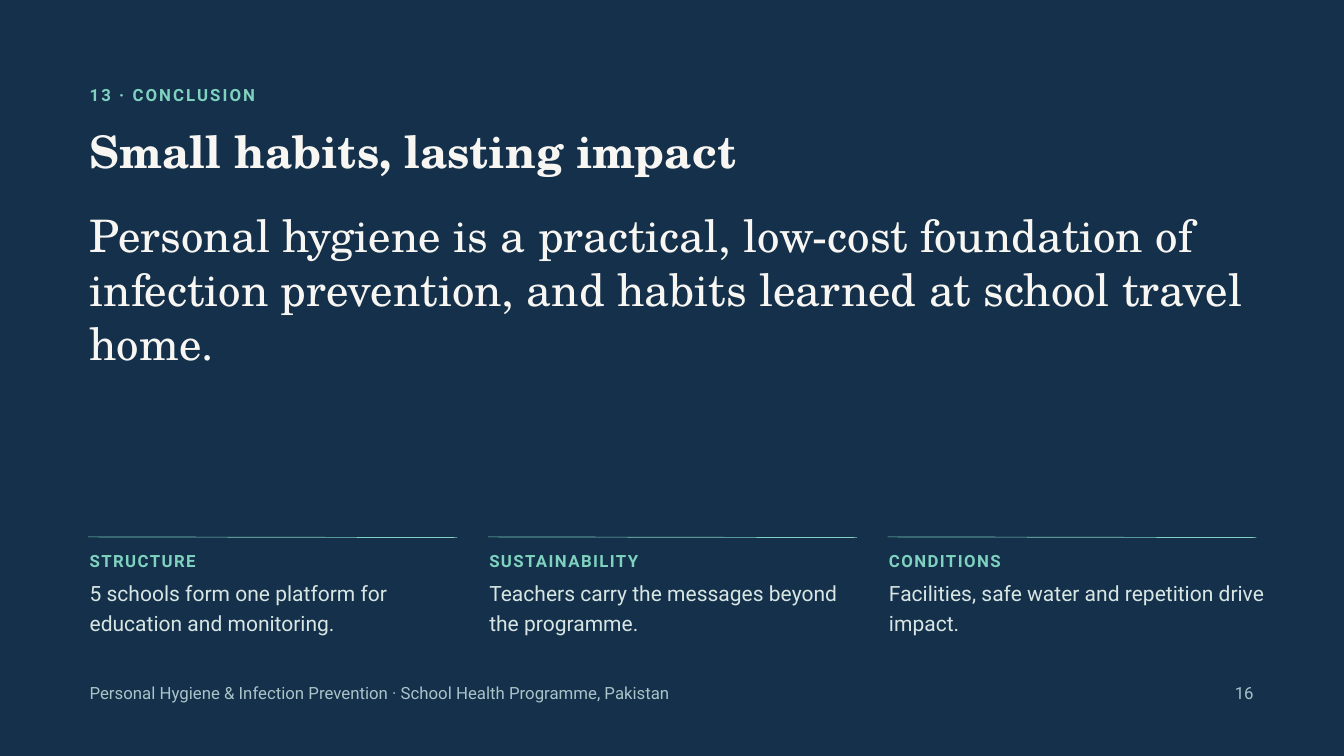
import pptx
import pptx.dml.color
import pptx.enum.shapes
import pptx.enum.text
import pptx.oxml.ns
import pptx.util
from lxml import etree

PX = 9525  # EMU per px, 96 px to the inch
NAVY = pptx.dml.color.RGBColor(0x14, 0x30, 0x4A)
MINT = pptx.dml.color.RGBColor(0x7F, 0xD1, 0xC0)
IVORY = pptx.dml.color.RGBColor(0xF7, 0xF6, 0xF2)
PALE = pptx.dml.color.RGBColor(0xD8, 0xE6, 0xE3)
MUTED = pptx.dml.color.RGBColor(0xA9, 0xC3, 0xC8)
SANS = "Roboto"
SERIF = "TeX Gyre Schola"

deck = pptx.Presentation()
deck.slide_width = 1920 * PX
deck.slide_height = 1080 * PX
page = deck.slides.add_slide(deck.slide_layouts[6])
page.background.fill.solid()
page.background.fill.fore_color.rgb = NAVY


def add_text(words, left, top, width, height, size, leading, color,
             face=SANS, bold=False, tracking=0):
    """Add a one-paragraph box; leading and tracking are in points."""
    box = page.shapes.add_textbox(left * PX, top * PX, width * PX, height * PX)
    frame = box.text_frame
    frame.word_wrap = True
    frame.auto_size = pptx.enum.text.MSO_AUTO_SIZE.SHAPE_TO_FIT_TEXT
    frame.margin_left = frame.margin_right = 0
    frame.margin_top = frame.margin_bottom = 0
    para = frame.paragraphs[0]
    para.line_spacing = pptx.util.Pt(leading)
    para.font.size = pptx.util.Pt(size)
    para.font.name = face
    para.font.bold = bold
    para.font.color.rgb = color
    span = para.add_run()
    span.text = words
    if tracking:
        span._r.get_or_add_rPr().set("spc", str(round(tracking * 100)))


# Heading and statement
LEFT = 128
add_text("13 · CONCLUSION", LEFT, 116, 1714, 50, 18, 25.2, MINT,
         bold=True, tracking=2.2)
add_text("Small habits, lasting impact", LEFT, 180, 1714, 71, 48, 55.2, IVORY,
         face=SERIF, bold=True)
add_text("Personal hygiene is a practical, low-cost foundation of infection "
         "prevention, and habits learned at school travel home.",
         LEFT, 297, 1714, 233, 48, 57.6, IVORY, face=SERIF)

# Three takeaways, each under a thin rule
COLUMN_PITCH = 571
takeaways = [
    ("STRUCTURE", "5 schools form one platform for education and monitoring."),
    ("SUSTAINABILITY", "Teachers carry the messages beyond the programme."),
    ("CONDITIONS", "Facilities, safe water and repetition drive impact."),
]
for column, (label, message) in enumerate(takeaways):
    left = LEFT + column * COLUMN_PITCH
    rule = page.shapes.add_connector(
        pptx.enum.shapes.MSO_CONNECTOR.STRAIGHT,
        (left - 2) * PX, 767 * PX, (left + 525) * PX, 768 * PX)
    rule.line.color.rgb = MINT
    rule.line.width = pptx.util.Pt(0.75)
    etree.SubElement(rule._element.spPr, pptx.oxml.ns.qn("a:effectLst"))
    add_text(label, left, 782, 539, 50, 18, 25.2, MINT, bold=True, tracking=1.5)
    add_text(message, left, 824, 539, 100, 22.5, 31.5, PALE)

# Footer
add_text("Personal Hygiene & Infection Prevention · School Health Programme, Pakistan",
         LEFT, 971, 864, 50, 18, 25.2, MUTED)
add_text("16", 1764, 971, 36, 50, 18, 25.2, MUTED)

deck.save("out.pptx")
